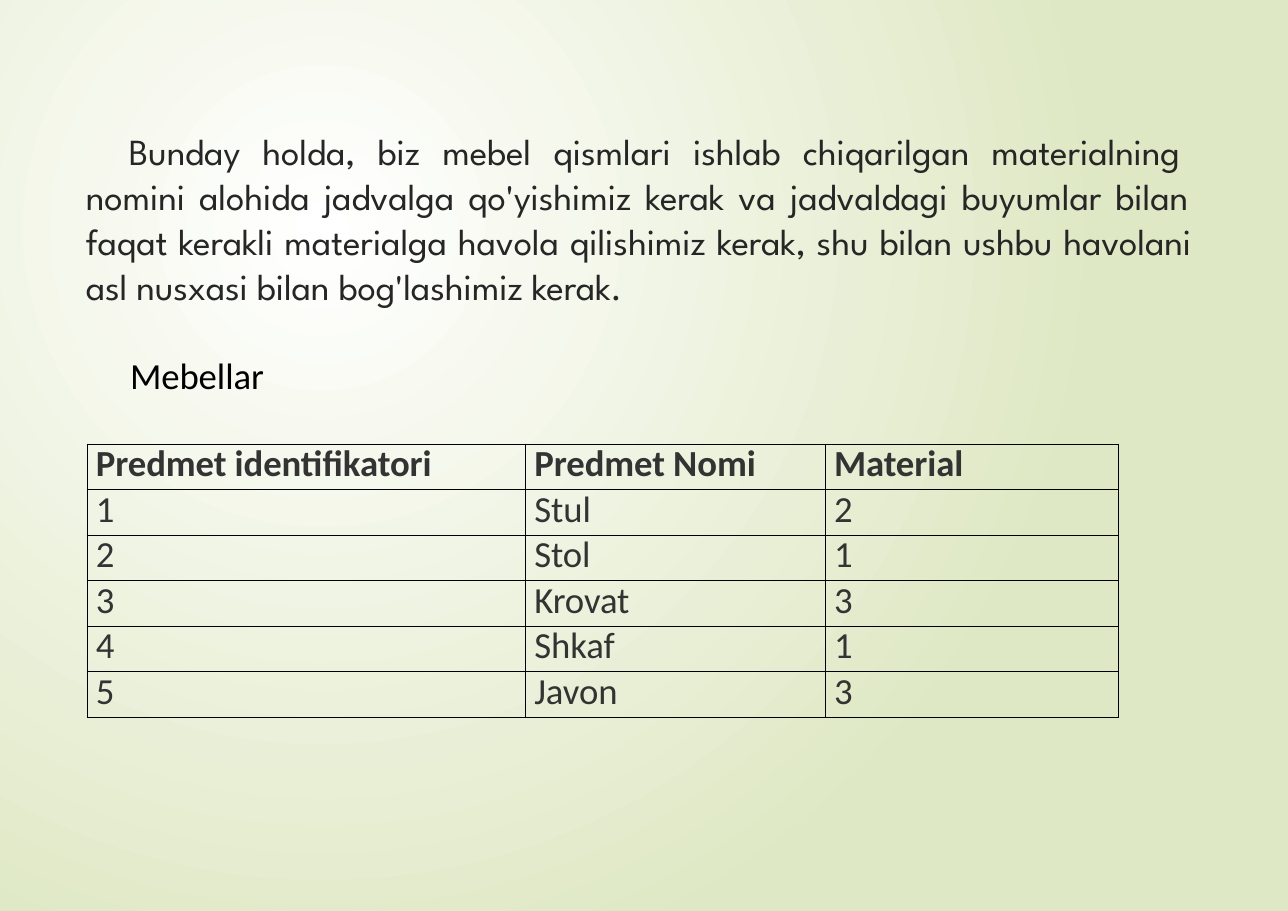
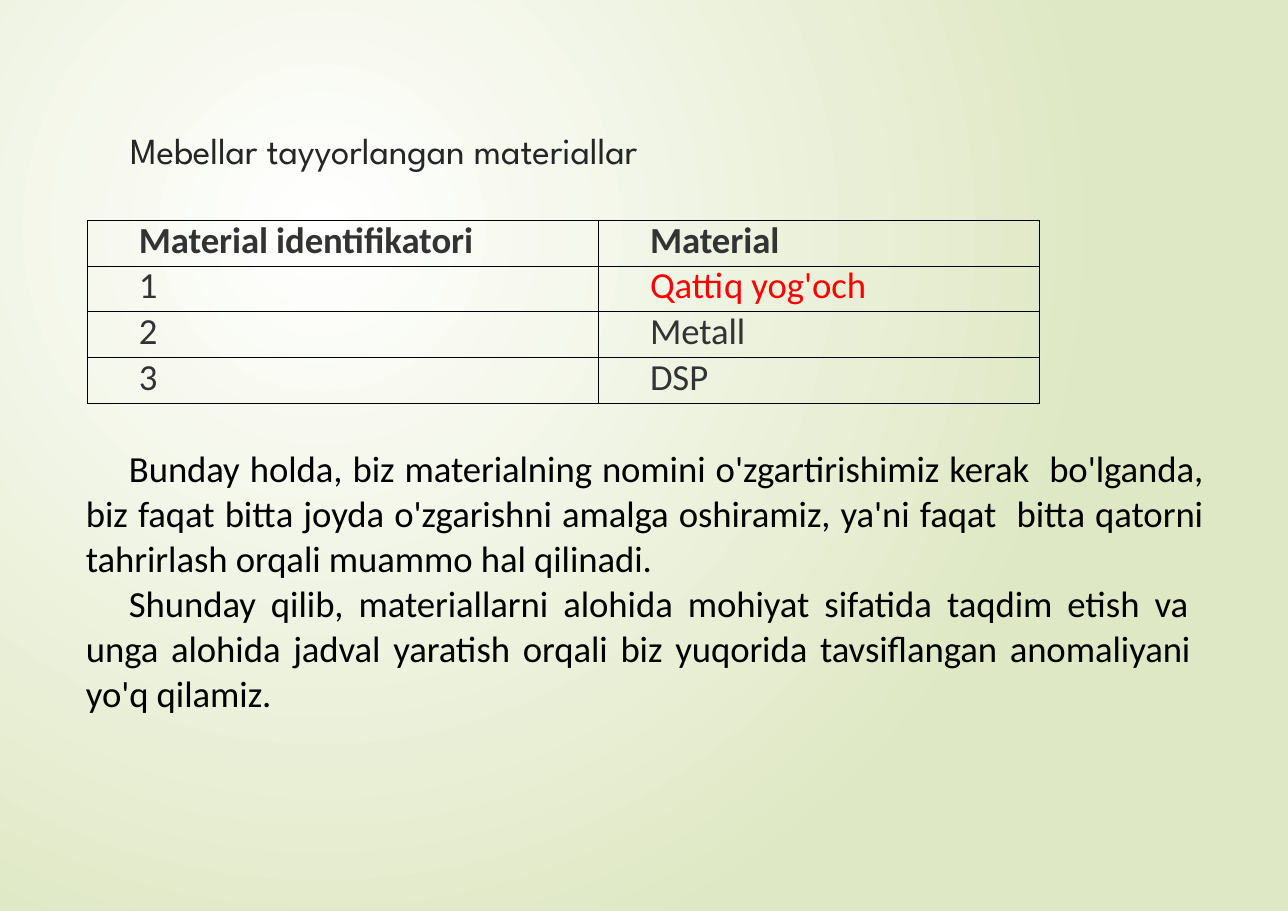
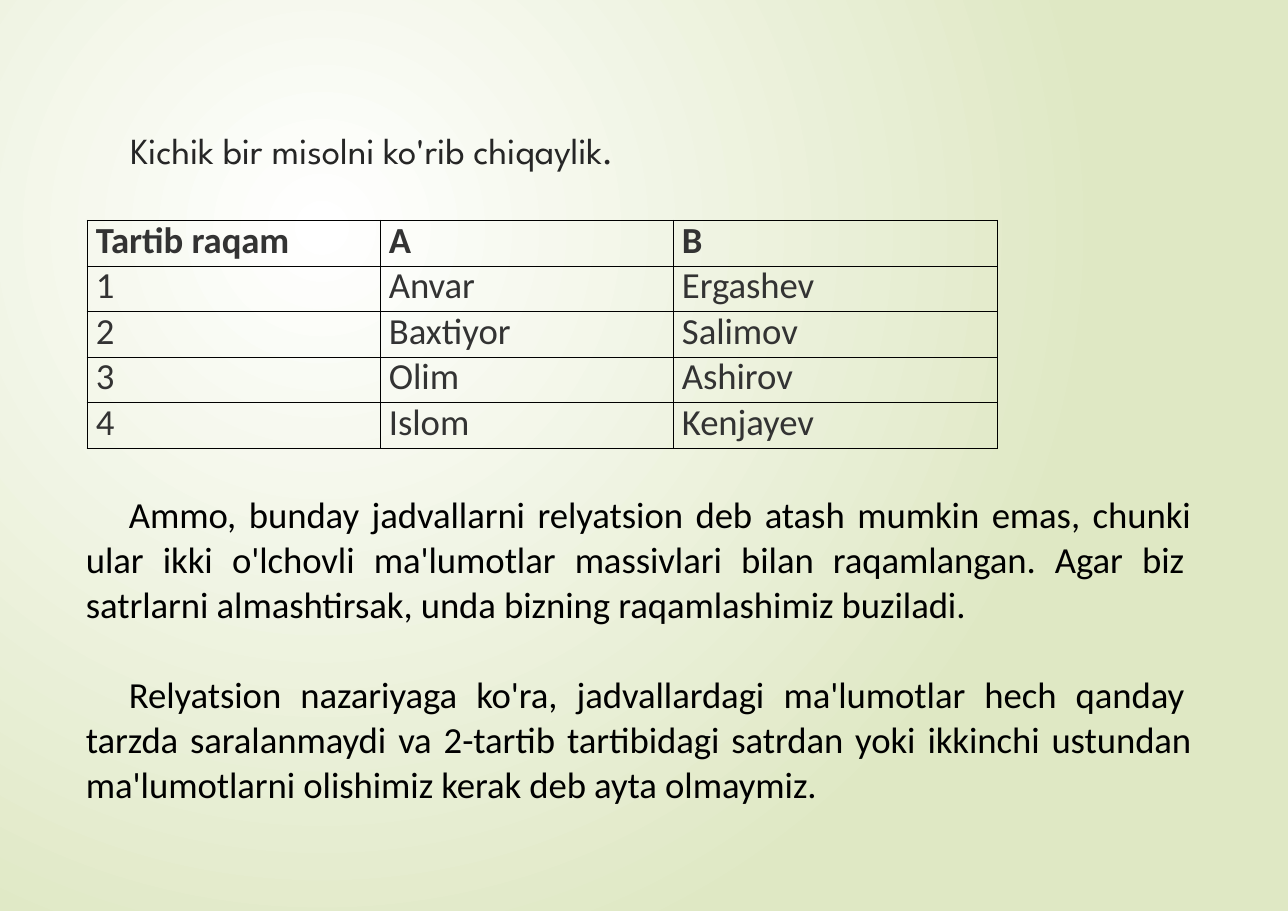
from dataclasses import dataclass

from lxml.etree import SubElement
from pptx import Presentation
from pptx.dml.color import RGBColor
from pptx.enum.text import PP_ALIGN as Align
from pptx.oxml.ns import qn
from pptx.util import Inches, Pt

WHITE = RGBColor(0xFF, 0xFF, 0xFF)
PALE_GREEN = RGBColor(0xDF, 0xE8, 0xC4)
TITLE_GREY = RGBColor(0x26, 0x26, 0x26)
TABLE_GREY = RGBColor(0x33, 0x33, 0x33)
BLACK = RGBColor(0, 0, 0)
RED = RGBColor(0xFF, 0, 0)

TITLE_FONT = "League Spartan"
BODY_FONT = "Calibri"
TEXT_SIZE = Pt(24)
TRACKING = "-5"  # hundredths of a point

TEXT_LEFT = 0.77
TABLE_LEFT = 0.79
TITLE_TOP = 1.15
FIRST_LINE = 0.39
LABEL_LEFT = 1.17


@dataclass(frozen=True)
class Passage:
    """Justified paragraphs with a first-line indent, or a short left-aligned label."""
    top: float
    width: float
    height: float
    paragraphs: tuple[str, ...]
    font: str = BODY_FONT
    color: RGBColor = BLACK
    label: bool = False
    gap: float = 0.1


@dataclass(frozen=True)
class Grid:
    top: float
    height: float
    columns: tuple[float, ...]
    rows: tuple[tuple[str, ...], ...]
    padding: float = 0.08
    leading: float = 28
    highlight: str = ""


@dataclass(frozen=True)
class Page:
    passages: tuple[Passage, ...]
    grid: Grid


def title(text: str, width: float, height: float = 0.42, label: bool = True) -> Passage:
    return Passage(TITLE_TOP, width, height, (text,), TITLE_FONT, TITLE_GREY, label)


PAGES = (
    Page(
        (
            title("Bunday holda, biz mebel qismlari ishlab chiqarilgan materialning  nomini "
                  "alohida jadvalga qo'yishimiz kerak va jadvaldagi buyumlar bilan  faqat "
                  "kerakli materialga havola qilishimiz kerak, shu bilan ushbu havolani  asl "
                  "nusxasi bilan bog'lashimiz kerak.", 10.14, 2.04, label=False),
            Passage(3.19, 1.28, 0.43, ("Mebellar",), label=True),
        ),
        Grid(4.03, 2.48, (3.98, 2.72, 2.66), (
            ("Predmet identifikatori", "Predmet Nomi", "Material"),
            ("1", "Stul", "2"),
            ("2", "Stol", "1"),
            ("3", "Krovat", "3"),
            ("4", "Shkaf", "1"),
            ("5", "Javon", "3"),
        ), leading=27.8),
    ),
    Page(
        (
            title("Mebellar tayyorlangan materiallar", 7.68),
            Passage(4.03, 10.15, 2.46, (
                "Bunday holda, biz materialning nomini o'zgartirishimiz kerak  bo'lganda, biz "
                "faqat bitta joyda o'zgarishni amalga oshiramiz, ya'ni faqat  bitta qatorni "
                "tahrirlash orqali muammo hal qilinadi.",
                "Shunday qilib, materiallarni alohida mohiyat sifatida taqdim etish va  unga "
                "alohida jadval yaratish orqali biz yuqorida tavsiflangan anomaliyani  yo'q "
                "qilamiz.",
            )),
        ),
        Grid(2, 1.66, (4.64, 4), (
            ("Material identifikatori", "Material"),
            ("1", "Qattiq yog'och"),
            ("2", "Metall"),
            ("3", "DSP"),
        ), padding=0.47, highlight="Qattiq yog'och"),
    ),
    Page(
        (
            title("Kichik bir misolni ko'rib chiqaylik.", 6.35),
            Passage(4.45, 10.15, 2.87, (
                "Ammo, bunday jadvallarni relyatsion deb atash mumkin emas, chunki  ular ikki "
                "o'lchovli ma'lumotlar massivlari bilan raqamlangan. Agar biz  satrlarni "
                "almashtirsak, unda bizning raqamlashimiz buziladi.",
                "Relyatsion nazariyaga ko'ra, jadvallardagi ma'lumotlar hech qanday  tarzda "
                "saralanmaydi va 2-tartib tartibidagi satrdan yoki ikkinchi ustundan  "
                "ma'lumotlarni olishimiz kerak deb ayta olmaymiz.",
            ), gap=29.5),
        ),
        Grid(2, 2.07, (2.66, 2.66, 2.94), (
            ("Tartib raqam", "A", "B"),
            ("1", "Anvar", "Ergashev"),
            ("2", "Baxtiyor", "Salimov"),
            ("3", "Olim", "Ashirov"),
            ("4", "Islom", "Kenjayev"),
        )),
    ),
)


def paint_background(master) -> None:
    """Give every slide a round gradient centred in the upper left quarter."""
    fill = master.background.fill
    fill.gradient()
    for stop, color, position in zip(fill.gradient_stops, (WHITE, PALE_GREEN), (0, 1)):
        stop.color.rgb = color
        stop.position = position
    gradient = master.element.find(".//" + qn("a:gradFill"))
    gradient.remove(gradient.find(qn("a:lin")))
    circle = SubElement(gradient, qn("a:path"), path="circle")
    SubElement(circle, qn("a:fillToRect"), l="50000", t="50000", r="100000", b="100000")


def style_runs(para, font: str, color: RGBColor, bold: bool = False) -> None:
    for span in para.runs:
        span.font.name = font
        span.font.size = TEXT_SIZE
        span.font.bold = bold
        span.font.color.rgb = color
        span.font._element.set("spc", TRACKING)


def draw_passage(slide, passage: Passage) -> None:
    left = LABEL_LEFT if passage.label else TEXT_LEFT
    box = slide.shapes.add_textbox(Inches(left), Inches(passage.top),
                                   Inches(passage.width), Inches(passage.height))
    frame = box.text_frame
    frame.word_wrap = True
    frame.margin_left = frame.margin_right = frame.margin_bottom = 0
    frame.margin_top = Inches(0.01)
    frame.text = "\n".join(passage.paragraphs)
    for index, para in enumerate(frame.paragraphs):
        properties = para._p.get_or_add_pPr()
        properties.set("marL", str(Inches(0.01)))
        if passage.label:
            para.space_before = Pt(1)
        else:
            properties.set("indent", str(Inches(FIRST_LINE)))
            para.alignment = Align.JUSTIFY
            para.line_spacing = 1.02
            para.space_before = Pt(passage.gap if index else 0.5)
        style_runs(para, passage.font, passage.color)


def add_borders(cell) -> None:
    properties = cell._tc.get_or_add_tcPr()
    for side in ("lnL", "lnR", "lnT", "lnB"):
        line = SubElement(properties, qn(f"a:{side}"), w=str(Pt(0.5)))
        fill = SubElement(line, qn("a:solidFill"))
        SubElement(fill, qn("a:srgbClr"), val=str(BLACK))


def draw_grid(slide, grid: Grid) -> None:
    table = slide.shapes.add_table(
        len(grid.rows), len(grid.columns), Inches(TABLE_LEFT), Inches(grid.top),
        Inches(sum(grid.columns)), Inches(grid.height)).table
    table.first_row = table.horz_banding = False
    for column, width in zip(table.columns, grid.columns):
        column.width = Inches(width)
    for row_index, row in enumerate(grid.rows):
        for column_index, text in enumerate(row):
            cell = table.cell(row_index, column_index)
            add_borders(cell)
            cell.fill.background()
            cell.margin_left = Inches(grid.padding)
            cell.margin_right = cell.margin_top = cell.margin_bottom = 0
            cell.text_frame.text = text
            para = cell.text_frame.paragraphs[0]
            para.line_spacing = Pt(grid.leading)
            color = RED if text == grid.highlight else TABLE_GREY
            style_runs(para, BODY_FONT, color, bold=row_index == 0)


def main() -> None:
    deck = Presentation()
    deck.slide_width, deck.slide_height = Inches(11.69), Inches(8.27)
    paint_background(deck.slide_master)
    blank = deck.slide_layouts[6]
    for page in PAGES:
        slide = deck.slides.add_slide(blank)
        for passage in page.passages:
            draw_passage(slide, passage)
        draw_grid(slide, page.grid)
    deck.save("out.pptx")


if __name__ == "__main__":
    main()
